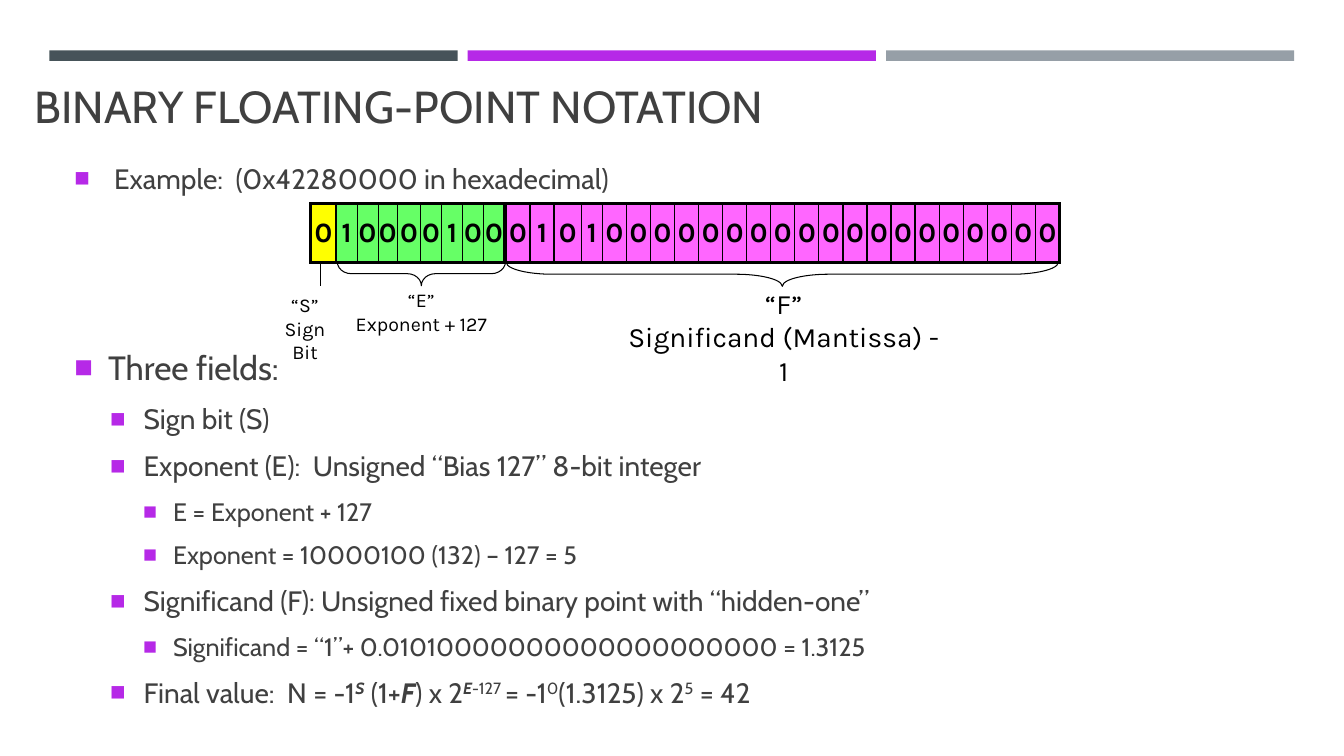
from lxml import etree
from pptx import Presentation
from pptx import util as u
from pptx.dml.color import RGBColor
from pptx.enum import shapes, text
from pptx.oxml.ns import qn

SLATE = RGBColor(0x46, 0x53, 0x59)
PURPLE = RGBColor(0xB6, 0x29, 0xE7)
GRAY = RGBColor(0x96, 0x9F, 0xA7)
INK = RGBColor(0x40, 0x40, 0x40)
BLACK = RGBColor(0, 0, 0)
YELLOW = RGBColor(0xFF, 0xFF, 0)
GREEN = RGBColor(0x66, 0xFF, 0x66)
PINK = RGBColor(0xFF, 0x66, 0xFF)

LEVELS = [(24, -24), (49.5, -24), (70.5, -21.5)]
THICK, THIN = 2.25, 1

STRONG = {"bold": True, "italic": True}
FORMULA = [
    ("Final value:  N = -1", {}, 0), ("S", STRONG, 30), (" (1+", {}, 0),
    ("F", STRONG, 0), (") x 2", {}, 0), ("E", STRONG, 30), ("-127 ", {}, 30),
    ("= -1", {}, 0), ("0", {}, 30), ("(1.3125) x 2", {}, 0), ("5", {}, 30),
    (" = 42", {}, 0),
]
POINTS = [
    (0, 20, "Example:  (0x42280000 in hexadecimal)", {}, 28.4),
    (0, 24, "Three fields:", {"space_before": u.Pt(102.7)}, None),
    (1, 20, "Sign bit (S)", {}, None),
    (1, 20, "Exponent (E):  Unsigned “Bias 127” 8-bit integer", {}, None),
    (2, 18, "E = Exponent + 127", {}, None),
    (2, 18, "Exponent = 10000100 (132) – 127 = 5", {}, None),
    (1, 20, "Significand (F): Unsigned fixed binary point with “hidden-one”", {}, None),
    (2, 18, "Significand = “1”+ 0.01010000000000000000000 = 1.3125", {}, None),
    (1, 20, FORMULA, {}, None),
]


def assign(target, values):
    for name, value in values.items():
        setattr(target, name, value)


class SlideBuilder:
    body_font, label_font = "Cabin", "Karla"

    def __init__(self, presentation):
        self.slide = presentation.slides.add_slide(presentation.slide_layouts[5])

    def place(self, shape, left, top, width, height):
        assign(shape, {"left": u.Pt(left), "top": u.Pt(top),
                       "width": u.Pt(width), "height": u.Pt(height)})

    def add_run(self, paragraph, words, name, size, color, style=None, raised=0):
        run = paragraph.add_run()
        run.text = words
        assign(run.font, {"name": name, "size": u.Pt(size), **(style or {})})
        run.font.color.rgb = color
        if raised:
            run._r.get_or_add_rPr().set("baseline", str(raised * 1000))

    def title(self, words, box):
        shape = self.slide.shapes.title
        self.place(shape, *box)
        assign(shape.text_frame, {"vertical_anchor": text.MSO_ANCHOR.BOTTOM,
                                  "word_wrap": True,
                                  "auto_size": text.MSO_AUTO_SIZE.NONE})
        paragraph = shape.text_frame.paragraphs[0]
        paragraph.alignment = text.PP_ALIGN.LEFT
        self.add_run(paragraph, words, self.body_font, 32, INK)

    def bar(self, color, *box):
        shape = self.slide.shapes.add_shape(
            shapes.MSO_SHAPE.RECTANGLE, *map(u.Pt, box))
        shape.shadow.inherit = False
        shape.fill.solid()
        shape.fill.fore_color.rgb = color
        shape.line.fill.background()

    def text_frame(self, *box):
        frame = self.slide.shapes.add_textbox(*map(u.Pt, box)).text_frame
        frame.word_wrap = True
        return frame

    def bullet(self, paragraph, level, margin):
        left, indent = LEVELS[level]
        properties = paragraph._p.get_or_add_pPr()
        properties.set("marL", str(u.Pt(margin or left)))
        properties.set("indent", str(u.Pt(-margin if margin else indent)))
        color = etree.SubElement(properties, qn("a:buClr"))
        etree.SubElement(color, qn("a:srgbClr"), val=str(PURPLE))
        etree.SubElement(properties, qn("a:buSzPct"), val="92000")
        etree.SubElement(properties, qn("a:buFont"), typeface="Arial")
        etree.SubElement(properties, qn("a:buChar"), char="■")

    def bullets(self, points, *box):
        frame = self.text_frame(*box)
        for index, (level, size, content, spacing, margin) in enumerate(points):
            paragraph = frame.add_paragraph() if index else frame.paragraphs[0]
            self.bullet(paragraph, level, margin)
            assign(paragraph, {"level": level, "space_after": u.Pt(6),
                               "space_before": u.Pt(size / 5 if index else 0),
                               **spacing})
            runs = [(content, {}, 0)] if isinstance(content, str) else content
            for words, style, raised in runs:
                self.add_run(paragraph, words, self.body_font, size, INK, style, raised)

    def label(self, lines, size, *box):
        frame = self.text_frame(*box)
        for index, line in enumerate(lines):
            paragraph = frame.add_paragraph() if index else frame.paragraphs[0]
            paragraph.alignment = text.PP_ALIGN.CENTER
            self.add_run(paragraph, line, self.label_font, size, BLACK)

    def border(self, cell, side, width):
        line = etree.SubElement(cell._tc.get_or_add_tcPr(), qn("a:ln" + side),
                                w=str(u.Pt(width)))
        fill = etree.SubElement(line, qn("a:solidFill"))
        etree.SubElement(fill, qn("a:srgbClr"), val=str(BLACK))

    def bit_field(self, bits, widths, color, left, top=145.5, height=41.8):
        table = self.slide.shapes.add_table(
            1, len(bits), u.Pt(left), u.Pt(top), u.Pt(sum(widths)), u.Pt(height)).table
        assign(table, {"first_row": False, "horz_banding": False})
        last = len(bits) - 1
        for index, (bit, width) in enumerate(zip(bits, widths)):
            table.columns[index].width = u.Pt(width)
            cell = table.cell(0, index)
            assign(cell, {"margin_left": 0, "margin_right": 0, "margin_top": 0,
                          "margin_bottom": 0,
                          "vertical_anchor": text.MSO_ANCHOR.MIDDLE})
            self.border(cell, "L", THIN if index else THICK)
            self.border(cell, "R", THIN if index < last else THICK)
            for side in "TB":
                self.border(cell, side, THICK)
            cell.fill.solid()
            cell.fill.fore_color.rgb = color
            paragraph = cell.text_frame.paragraphs[0]
            paragraph.alignment = text.PP_ALIGN.CENTER
            self.add_run(paragraph, bit, self.label_font, 20, BLACK, {"bold": True})

    def brace(self, bend, *box):
        shape = self.slide.shapes.add_shape(
            shapes.MSO_SHAPE.RIGHT_BRACE, *map(u.Pt, box))
        shape.shadow.inherit = False
        shape.rotation = 90
        shape.adjustments[0] = bend
        shape.adjustments[1] = 0.5
        shape.fill.background()
        self.outline(shape)

    def outline(self, shape):
        shape.line.color.rgb = BLACK
        shape.line.width = u.Pt(0.75)

    def pointer(self, *ends):
        connector = self.slide.shapes.add_connector(
            shapes.MSO_CONNECTOR.STRAIGHT, *map(u.Pt, ends))
        self.outline(connector)
        etree.SubElement(connector._element.spPr, qn("a:effectLst"))


def main():
    presentation = Presentation()
    assign(presentation, {"slide_width": u.Pt(960), "slide_height": u.Pt(540)})
    builder = SlideBuilder(presentation)

    for index, color in enumerate((SLATE, PURPLE, GRAY)):
        builder.bar(color, 35.3 + 298.8 * index, 36, 291.6, 7.5)
    builder.title("BINARY FLOATING-POINT NOTATION", (17.3, 4.3, 868.3, 93.6))
    builder.bullets(POINTS, 46.1, 111.6, 868.3, 410)

    builder.bit_field("0101" + "0" * 19, [17.2] * 2 + [19.6, 15] + [17.2] * 19,
                      PINK, 361.4)
    builder.bit_field("0", [18.7], YELLOW, 221.8)
    builder.bit_field("10000100", [15, 15, 13.8, 16.5] + [15] * 4, GREEN, 240.1)

    builder.brace(1.91, 550.1, -1.4, 17.3, 394.6)
    builder.brace(0.58, 292.3, 135.4, 17.3, 120.2)
    builder.pointer(229, 187.2, 229, 204.5)

    builder.label(["“F”", "Significand (Mantissa) - 1"], 20, 439.2, 200.9, 241.2, 80)
    builder.label(["“E”", "Exponent + 127"], 14, 243.4, 202.3, 115.2, 41)
    builder.label(["“S”", "Sign", "Bit"], 14, 185.8, 205.9, 64.1, 58.3)

    presentation.save("out.pptx")


if __name__ == "__main__":
    main()
